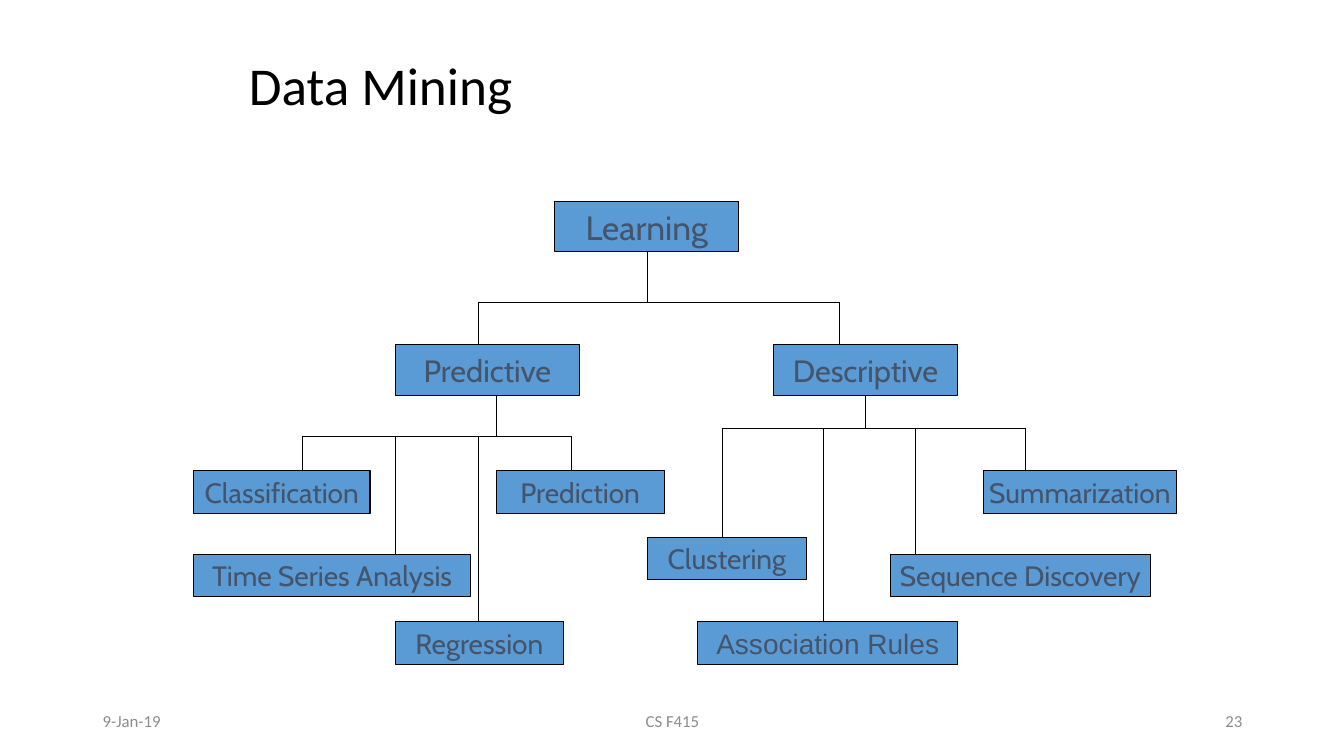
from pptx import Presentation
from pptx.dml.color import RGBColor as Rgb
from pptx.enum.shapes import MSO_CONNECTOR as Link, MSO_SHAPE as Form
from pptx.enum.text import MSO_ANCHOR as Anchor, PP_ALIGN as Align
from pptx.oxml.ns import qn
from pptx.util import Inches, Pt
from lxml.etree import SubElement as Sub

COLORS = {"box": "5B9BD5", "line": "000000", "label": "44546A",
          "title": "000000", "foot": "8C8C8C"}


class Chart:
    def __init__(self, slide):
        self.slide = slide
        self.shapes = slide.shapes

    def label(self, shape, text, size, font, color, align, wrap):
        frame = shape.text_frame
        frame.text = text
        frame.word_wrap = wrap
        frame.vertical_anchor = Anchor.MIDDLE
        para = frame.paragraphs[0]
        para.alignment = align
        style = para.runs[0].font
        style.size = Pt(size)
        style.name = font
        style.color.rgb = Rgb.from_string(COLORS[color])
        return para

    def text(self, area, text, size, color, align=Align.LEFT):
        box = self.shapes.add_textbox(*map(Inches, area))
        return self.label(box, text, size, "Calibri", color, align, True)

    def box(self, text, left, top, width, height=0.42, size=20, font="Cabin"):
        area = map(Inches, (left, top, width, height))
        box = self.shapes.add_shape(Form.RECTANGLE, *area)
        box.shadow.inherit = False
        box.fill.solid()
        box.fill.fore_color.rgb = Rgb.from_string(COLORS["box"])
        box.line.color.rgb = Rgb.from_string(COLORS["line"])
        box.line.width = Pt(0.75)
        self.label(box, text, size, font, "label", Align.CENTER, False)

    def line(self, *ends):
        line = self.shapes.add_connector(Link.STRAIGHT, *map(Inches, ends))
        line.line.color.rgb = Rgb.from_string(COLORS["line"])
        line.line.width = Pt(0.75)
        Sub(line._element.spPr, qn("a:effectLst"))

    def branch(self, stem, top, bar, drops):
        self.line(stem, top, stem, bar)
        self.line(drops[0][0], bar, drops[-1][0], bar)
        for left, end in drops:
            self.line(left, bar, left, end)


def main():
    deck = Presentation()
    deck.slide_width = Inches(13.33)
    deck.slide_height = Inches(7.5)
    chart = Chart(deck.slides.add_slide(deck.slide_layouts[6]))

    title = chart.text((2.25, 0.42, 3.42, 0.92), " Data Mining", 38, "title")
    title.line_spacing = 0.9

    chart.branch(6.42, 2.5, 3, [(4.75, 3.42), (8.33, 3.42)])
    chart.branch(4.92, 3.92, 4.33,
                 [(3, 4.67), (3.92, 5.5), (4.75, 6.17), (5.67, 4.67)])
    chart.branch(8.58, 3.92, 4.25,
                 [(7.17, 5.33), (8.17, 6.17), (9.08, 5.5), (10.17, 4.67)])

    chart.box("Learning", 5.5, 2, 1.83, 0.5, 24)
    chart.box("Predictive", 3.92, 3.42, 1.83, 0.5, 22)
    chart.box("Descriptive", 7.67, 3.42, 1.83, 0.5, 22)
    leaves = [
        ("Classification", 1.92, 4.67, 1.75),
        ("Time Series Analysis", 1.92, 5.5, 2.75),
        ("Regression", 3.92, 6.17, 1.67),
        ("Prediction", 4.92, 4.67, 1.67),
        ("Clustering", 6.42, 5.33, 1.58),
        ("Sequence Discovery", 8.83, 5.5, 2.58),
        ("Summarization", 9.75, 4.67, 1.92),
    ]
    for leaf in leaves:
        chart.box(*leaf)
    chart.box("Association Rules", 6.92, 6.17, 2.58, font="Arial")

    feet = [("9-Jan-19", 0.92, 3, Align.LEFT),
            ("CS F415", 4.42, 4.5, Align.CENTER),
            ("23", 9.42, 3, Align.RIGHT)]
    for text, left, width, align in feet:
        chart.text((left, 6.95, width, 0.4), text, 12, "foot", align)

    deck.save("out.pptx")


if __name__ == "__main__":
    main()
